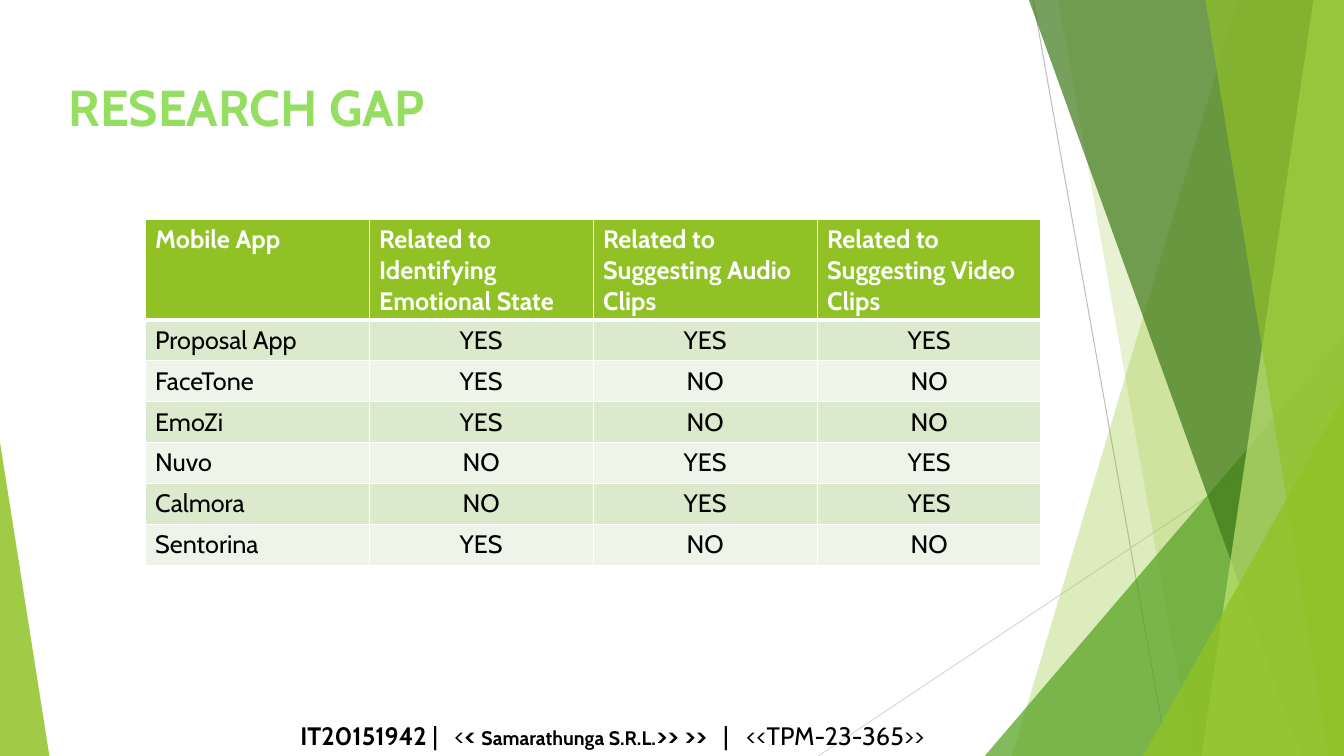
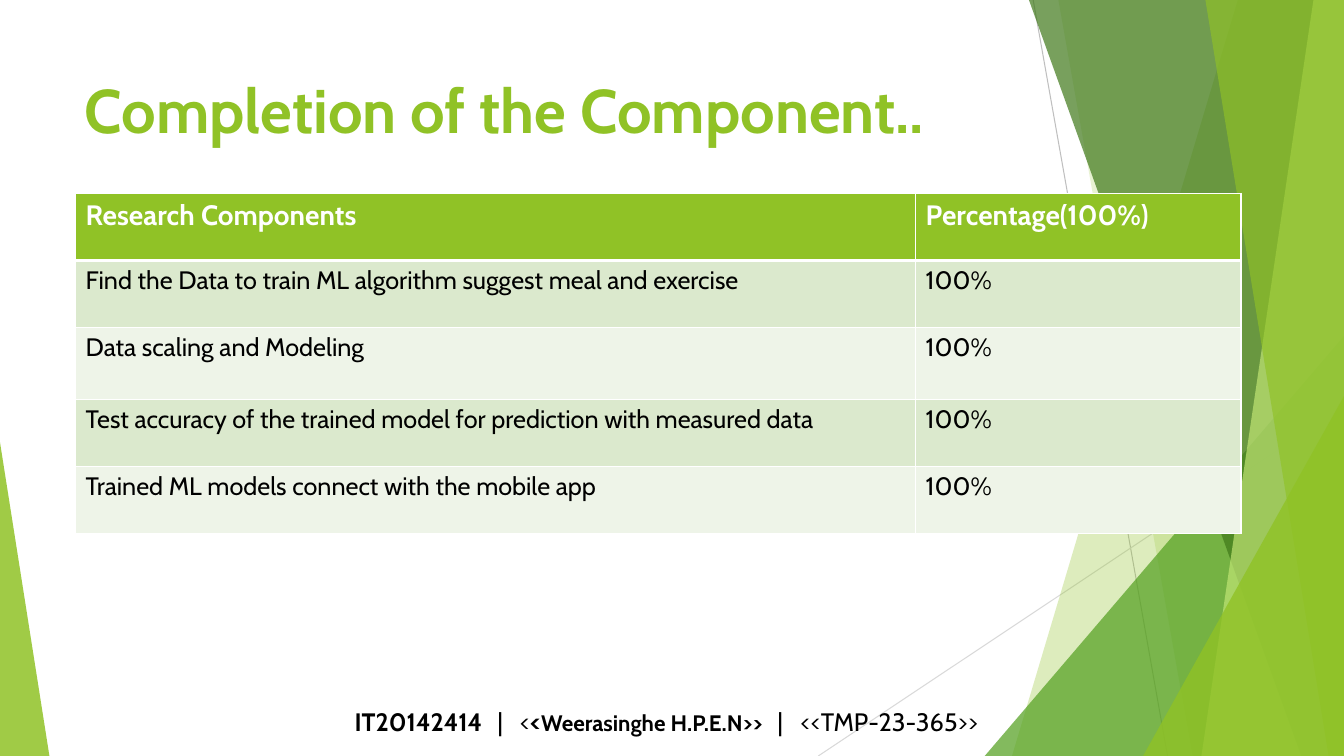
from lxml.etree import SubElement
from pptx import Presentation
from pptx.dml.color import RGBColor
from pptx.enum.shapes import MSO_CONNECTOR, MSO_SHAPE
from pptx.enum.text import MSO_ANCHOR, PP_ALIGN
from pptx.oxml.ns import qn
from pptx.util import Pt

FONT = "Cabin"
COLORS = {
    "green": "90C226", "mint": "94DE61", "leaf": "54A021", "forest": "3F7819",
    "lime": "C0E474", "band_dark": "DBE9CD", "band_light": "EEF4E8",
    "line_dark": "BFBFBF", "line_light": "D9D9D9", "white": "FFFFFF", "black": "000000",
}
WIDTH, HEIGHT = 960, 540

# Decoration, back to front
LINES = [(738, 0, 834, 540, "line_dark"), (960, 290, 584.5, 540, "line_light")]
# Bands run to the right edge: top x, bottom x, colour, opacity in percent
# Triangles: left, top, width, position of the tip, colour, opacity in percent
DECORATION = [
    ("band", 884.2, 722.9, "green", 30),
    ("band", 756, 851.8, "green", 20),
    ("triangle", 703.4, 240, 256.6, 1, "leaf", 72),
    ("band", 735, 929.5, "forest", 70),
    ("band", 938.2, 858.2, "lime", 70),
    ("band", 861, 949, "green", 65),
    ("triangle", 816.5, 283, 143.5, 1, "green", 80),
    ("triangle", 0, 316, 35.3, 0, "green", 85),
]

# Runs are (text, size, bold)
SLIDES = [
    {
        "title": ("RESEARCH GAP", 36, "mint"),
        "title_box": (42, 24, 677, 104), "title_anchor": MSO_ANCHOR.MIDDLE,
        "table_at": (103.7, 156.5), "columns": [160] * 4,
        "rows": [72] + [29.2] * 6, "header_size": 18, "value_align": PP_ALIGN.CENTER,
        "cells": [
            ["Mobile App", "Related to Identifying Emotional State",
             "Related to Suggesting Audio Clips", "Related to Suggesting Video Clips"],
            ["Proposal App", "YES", "YES", "YES"],
            ["FaceTone", "YES", "NO", "NO"],
            ["EmoZi", "YES", "NO", "NO"],
            ["Nuvo", "NO", "YES", "YES"],
            ["Calmora", "NO", "YES", "YES"],
            ["Sentorina", "YES", "NO", "NO"],
        ],
        "footer_box": (207.4, 511, 536, 29), "footer_anchor": MSO_ANCHOR.MIDDLE,
        "footer_tabs": [110, 302, 318.5],
        "footer": [("IT20151942", 18, True), (" |\t<", 18, False), ("< ", 18, True),
                   ("Samarathunga S.R.L.", 14, True), (">> >>", 18, True),
                   ("\t|\t<<TPM-23-365>>", 18, False)],
    },
    {
        "title": ("Completion of the Component..", 44, "green"),
        "title_box": (53.3, 48, 677, 104), "title_anchor": MSO_ANCHOR.TOP,
        "table_at": (54, 138.2), "columns": [600, 232.5],
        "rows": [47.8, 47.8, 51.6, 47.8, 47.8], "header_size": 20,
        "value_align": PP_ALIGN.LEFT,
        "cells": [
            ["Research Components", "Percentage(100%)"],
            ["Find the Data to train ML algorithm suggest meal and exercise", "100%"],
            ["Data scaling and Modeling", "100%"],
            ["Test accuracy of the trained model for prediction with measured data", "100%"],
            ["Trained ML models connect with the mobile app", "100%"],
        ],
        "footer_box": (246.2, 501, 526, 29), "footer_anchor": MSO_ANCHOR.TOP,
        "footer_tabs": [102, 118, 302, 318.5],
        "footer": [("IT20142414", 18, True), ("\t|\t<", 18, False), ("<", 18, True),
                   ("Weerasinghe H.P.E.N>>", 16, True),
                   ("\t|\t<<TMP-23-365>>", 18, False)],
    },
]


def add_run(paragraph, text, size, color, bold):
    run = paragraph.add_run()
    run.text = text
    run.font.name = FONT
    run.font.size = Pt(size)
    run.font.bold = bold
    run.font.color.rgb = RGBColor.from_string(COLORS[color])


def add_text_box(slide, box, anchor):
    shape = slide.shapes.add_textbox(*map(Pt, box))
    shape.text_frame.word_wrap = True
    shape.text_frame.vertical_anchor = anchor
    return shape.text_frame.paragraphs[0]


presentation = Presentation()
presentation.slide_width = Pt(WIDTH)
presentation.slide_height = Pt(HEIGHT)

for content in SLIDES:
    slide = presentation.slides.add_slide(presentation.slide_layouts[6])

    # Thin background lines
    for x1, y1, x2, y2, color in LINES:
        line = slide.shapes.add_connector(
            MSO_CONNECTOR.STRAIGHT, Pt(x1), Pt(y1), Pt(x2), Pt(y2))
        line.line.color.rgb = RGBColor.from_string(COLORS[color])
        line.line.width = Pt(0.75)
        SubElement(line._element.spPr, qn("a:effectLst"))

    # Translucent bands and triangles
    for kind, *geometry, color, opacity in DECORATION:
        if kind == "band":
            top_x, bottom_x = geometry
            builder = slide.shapes.build_freeform(Pt(top_x), Pt(0))
            builder.add_line_segments([
                (Pt(WIDTH), Pt(0)), (Pt(WIDTH), Pt(HEIGHT)), (Pt(bottom_x), Pt(HEIGHT))])
            shape = builder.convert_to_shape()
        else:
            left, top, width, tip = geometry
            shape = slide.shapes.add_shape(
                MSO_SHAPE.ISOSCELES_TRIANGLE, Pt(left), Pt(top), Pt(width), Pt(HEIGHT - top))
            shape.adjustments[0] = tip
        shape.shadow.inherit = False
        shape.line.fill.background()
        shape.fill.solid()
        shape.fill.fore_color.rgb = RGBColor.from_string(COLORS[color])
        fill_color = shape._element.spPr.find(qn("a:solidFill")).find(qn("a:srgbClr"))
        SubElement(fill_color, qn("a:alpha"), val=str(opacity * 1000))

    # Title
    text, size, color = content["title"]
    paragraph = add_text_box(slide, content["title_box"], content["title_anchor"])
    add_run(paragraph, text, size, color, True)

    # Table
    columns, rows = content["columns"], content["rows"]
    left, top = content["table_at"]
    table = slide.shapes.add_table(
        len(rows), len(columns), Pt(left), Pt(top), Pt(sum(columns)), Pt(sum(rows))).table
    for column, width in zip(table.columns, columns):
        column.width = Pt(width)
    for row, height in zip(table.rows, rows):
        row.height = Pt(height)

    for row_index, values in enumerate(content["cells"]):
        is_header = row_index == 0
        if is_header:
            fill, size, color = "green", content["header_size"], "white"
        else:
            fill, size, color = ("band_light", "band_dark")[row_index % 2], 18, "black"
        # The rule under the header is thicker than the others
        borders = {"lnL": 1, "lnR": 1, "lnT": 3 if row_index == 1 else 1,
                   "lnB": 3 if is_header else 1}
        for column_index, value in enumerate(values):
            cell = table.cell(row_index, column_index)
            properties = cell._tc.get_or_add_tcPr()
            for side, width in borders.items():
                border = SubElement(properties, qn(f"a:{side}"), w=str(Pt(width)))
                border_fill = SubElement(border, qn("a:solidFill"))
                SubElement(border_fill, qn("a:srgbClr"), val=COLORS["white"])
            cell.fill.solid()
            cell.fill.fore_color.rgb = RGBColor.from_string(COLORS[fill])
            paragraph = cell.text_frame.paragraphs[0]
            if column_index and not is_header:
                paragraph.alignment = content["value_align"]
            add_run(paragraph, value, size, color, is_header)

    # Footer, spaced with tab stops
    paragraph = add_text_box(slide, content["footer_box"], content["footer_anchor"])
    tab_list = SubElement(paragraph._p.get_or_add_pPr(), qn("a:tabLst"))
    for position in content["footer_tabs"]:
        SubElement(tab_list, qn("a:tab"), pos=str(Pt(position)), algn="l")
    for text, size, bold in content["footer"]:
        add_run(paragraph, text, size, "black", bold)

presentation.save("out.pptx")
